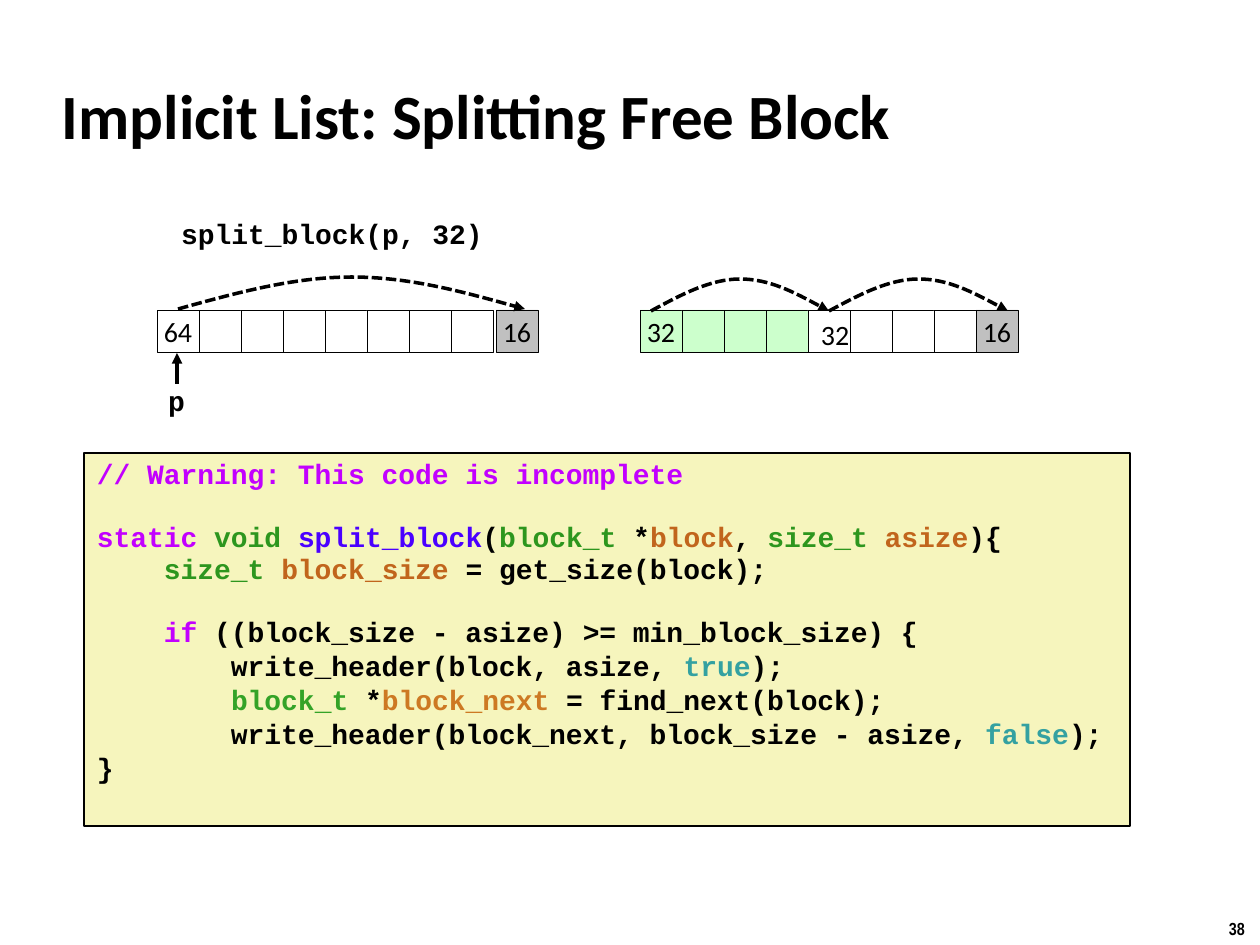
from dataclasses import dataclass

from lxml import etree
from pptx import Presentation
from pptx import util as u
from pptx.dml.color import RGBColor
from pptx.enum import dml, shapes, text
from pptx.oxml.ns import qn


@dataclass(frozen=True)
class Theme:
    sans: str = "Calibri"
    mono: str = "Courier New"
    narrow: str = "Arial Narrow"
    title: int = 36
    body: int = 16
    number: int = 10
    black: str = "000000"
    free: str = "FFFFFF"
    used: str = "CCFFCC"
    neighbour: str = "C0C0C0"
    panel: str = "F6F5BD"
    keyword: str = "C200FF"
    type: str = "2D961E"
    variable: str = "C1651C"
    function: str = "4A00FF"
    constant: str = "34A1A1"
    late_type: str = "34A327"
    late_variable: str = "CD7923"


THEME = Theme()
CELL = 42
BLOCK_TOP = 310
ARC_HEIGHT = 32

# Each line of code: space before, line spacing (points), coloured runs.
T = THEME
CODE = [
    (0, 18, [("// Warning: This code is incomplete", T.keyword)]),
    (18, 18, [("static ", T.keyword), ("void ", T.type), ("split_block", T.function),
              ("(", T.black), ("block_t", T.type), (" *", T.black),
              ("block", T.variable), (", ", T.black), ("size_t ", T.type),
              ("asize", T.variable), ("){", T.black)]),
    (0, 18, [("    ", T.black), ("size_t ", T.type), ("block_size", T.variable),
             (" = get_size(block);", T.black)]),
    (18, 18, [("    ", T.black), ("if", T.keyword),
              (" ((block_size - asize) >= min_block_size) {", T.black)]),
    (0, 19.4, [("        write_header(block, asize, ", T.black),
               ("true", T.constant), (");", T.black)]),
    (0, 19.4, [("        ", T.black), ("block_t", T.late_type), (" *", T.black),
               ("block_next", T.late_variable), (" = find_next(block);", T.black)]),
    (0, 19.4, [("        write_header(block_next, block_size - asize, ", T.black),
               ("false", T.constant), (");", T.black)]),
    (0, 19.4, [("}", T.black)]),
]


def px(length):
    return u.Emu(round(length * 914400 / 126))


def rgb(value):
    return RGBColor.from_string(value)


def set_font(paragraph, name, size, bold=False):
    font = paragraph.font
    font.name, font.size, font.bold = name, u.Pt(size), bold
    font.color.rgb = rgb(THEME.black)


def set_frame(shape, anchor, inset_x=0, inset_y=0):
    frame = shape.text_frame
    frame.word_wrap = False
    frame.vertical_anchor = anchor
    frame.margin_left = frame.margin_right = px(inset_x)
    frame.margin_top = frame.margin_bottom = px(inset_y)
    return frame


def add_label(slide, box, words, name, size, bold=True,
              align=text.PP_ALIGN.LEFT):
    shape = slide.shapes.add_textbox(*map(px, box))
    frame = set_frame(shape, text.MSO_ANCHOR.MIDDLE)
    paragraph = frame.paragraphs[0]
    paragraph.text = words
    paragraph.alignment = align
    set_font(paragraph, name, size, bold)


def add_box(slide, box, fill, line_width):
    shape = slide.shapes.add_shape(shapes.MSO_SHAPE.RECTANGLE, *map(px, box))
    shape.shadow.inherit = False
    shape.fill.solid()
    shape.fill.fore_color.rgb = rgb(fill)
    shape.line.color.rgb = rgb(THEME.black)
    shape.line.width = u.Pt(line_width)
    return shape


def style_arrow(shape):
    """Make a black two-point line that ends in a triangle, without shadow."""
    shape.line.color.rgb = rgb(THEME.black)
    shape.line.width = u.Pt(2)
    etree.SubElement(shape.line._get_or_add_ln(), qn("a:tailEnd"), type="triangle")
    properties = shape._element.spPr
    if properties.find(qn("a:effectLst")) is None:
        etree.SubElement(properties, qn("a:effectLst"))


def add_arc(slide, left, right, bottom):
    """Draw a dashed arrow of two cubic curves that meet at the top."""
    width, top = right - left, bottom - ARC_HEIGHT
    middle = bottom - ARC_HEIGHT // 2
    heights = [middle, top, top, top, middle, bottom]
    points = [(px(left + width * step / 6), px(y))
              for step, y in enumerate(heights, 1)]
    builder = slide.shapes.build_freeform(px(left), px(bottom))
    builder.add_line_segments(points, close=False)
    shape = builder.convert_to_shape()
    curve_path = next(shape._element.iter(qn("a:path")))
    segments = curve_path.findall(qn("a:lnTo"))
    for start in (0, 3):
        curve = etree.SubElement(curve_path, qn("a:cubicBezTo"))
        for segment in segments[start:start + 3]:
            curve.append(segment[0])
            curve_path.remove(segment)
    shape.fill.background()
    shape.line.dash_style = dml.MSO_LINE.SQUARE_DOT
    style_arrow(shape)


def add_block_row(slide, left, top, cells):
    """Draw a row of cells, each given as a fill and a header value."""
    for index, (fill, header) in enumerate(cells):
        box = (left + index * CELL, top, CELL, CELL)
        shape = add_box(slide, box, fill, 0.25)
        if header:
            frame = set_frame(shape, text.MSO_ANCHOR.MIDDLE)
            paragraph = frame.paragraphs[0]
            paragraph.text = header
            paragraph.alignment = text.PP_ALIGN.CENTER
            set_font(paragraph, THEME.sans, THEME.body)


def add_before(slide, left, top):
    free = [(THEME.free, "64")] + [(THEME.free, "")] * 7
    add_block_row(slide, left, top, free)
    add_block_row(slide, left + 8 * CELL + 3, top, [(THEME.neighbour, "16")])
    add_arc(slide, left + 21, left + 368, top - 1)
    pointer = slide.shapes.add_connector(
        shapes.MSO_CONNECTOR.STRAIGHT,
        px(left + 20), px(top + 74), px(left + 20), px(top + 43))
    style_arrow(pointer)
    add_label(slide, (left + 11, top + 73, 18, 34), "p", THEME.mono, THEME.body)


def add_after(slide, left, top):
    used = [(THEME.used, "32")] + [(THEME.used, "")] * 3
    free = [(THEME.free, "")] * 4
    add_block_row(slide, left, top, used + free + [(THEME.neighbour, "16")])
    add_label(slide, (left + 181, top + 1, 29, 46), "32", THEME.sans,
              THEME.body, bold=False)
    for start, end in ((11, 189), (189, 368)):
        add_arc(slide, left + start, left + end, top + 1)


def add_code(slide, box):
    shape = add_box(slide, box, THEME.panel, 1)
    frame = set_frame(shape, text.MSO_ANCHOR.TOP, 13, 6)
    for index, (before, spacing, runs) in enumerate(CODE):
        paragraph = frame.add_paragraph() if index else frame.paragraphs[0]
        paragraph.alignment = text.PP_ALIGN.LEFT
        paragraph.line_spacing = u.Pt(spacing)
        if before:
            paragraph.space_before = u.Pt(before)
        set_font(paragraph, THEME.mono, THEME.body, bold=True)
        for words, color in runs:
            run = paragraph.add_run()
            run.text = words
            run.font.color.rgb = rgb(color)


def main():
    presentation = Presentation()
    presentation.slide_width, presentation.slide_height = px(1260), px(945)
    slide = presentation.slides.add_slide(presentation.slide_layouts[6])
    add_label(slide, (62, 62, 1033, 105), "Implicit List: Splitting Free Block",
              THEME.sans, THEME.title)
    add_label(slide, (173, 212, 318, 42), "split_block(p, 32)", THEME.mono,
              THEME.body, align=text.PP_ALIGN.CENTER)
    add_before(slide, 157, BLOCK_TOP)
    add_after(slide, 640, BLOCK_TOP)
    add_code(slide, (84, 453, 1046, 373))
    add_label(slide, (1217, 911, 40, 34), "38", THEME.narrow, THEME.number,
              align=text.PP_ALIGN.CENTER)
    presentation.save("out.pptx")


if __name__ == "__main__":
    main()
